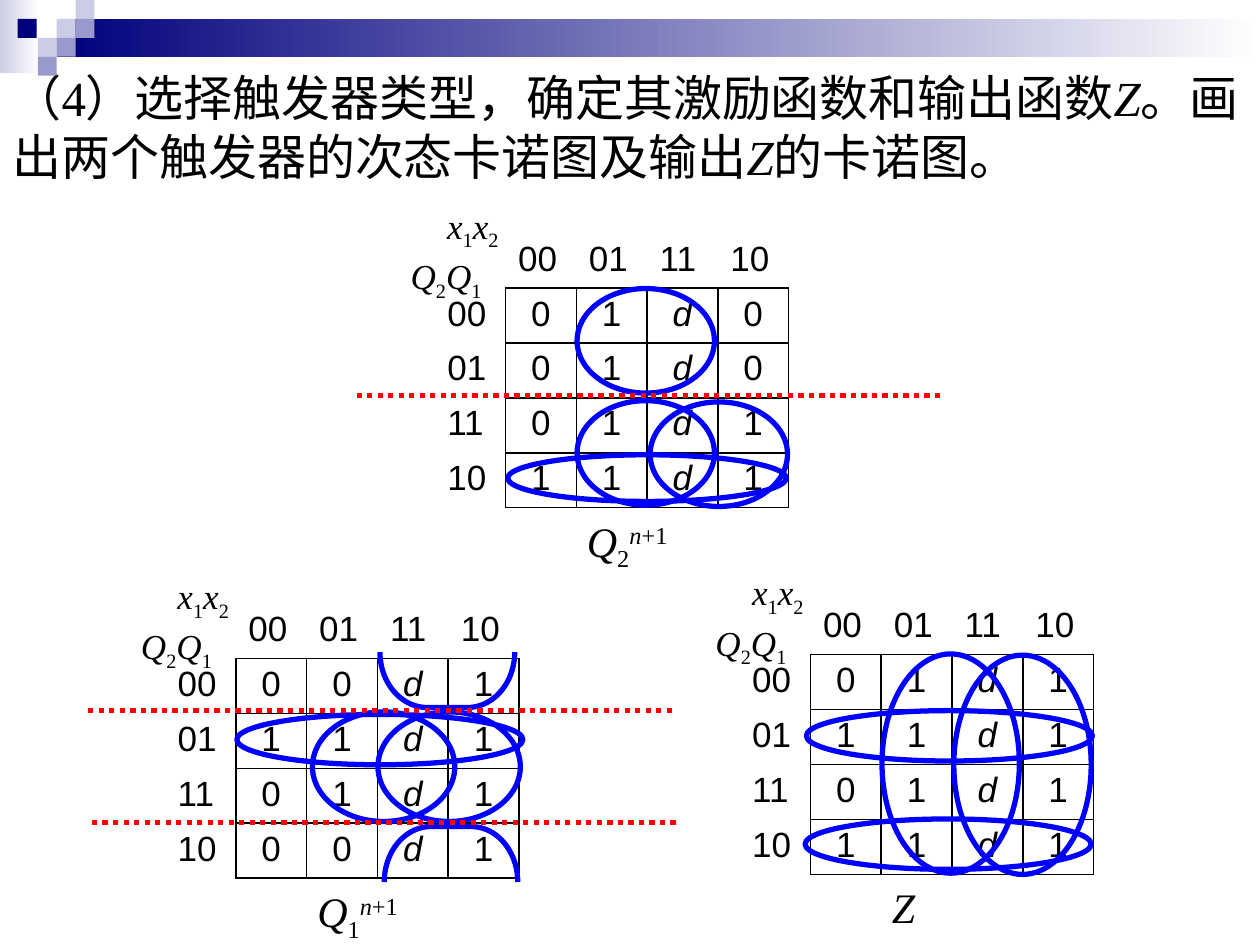
from lxml import etree
from pptx import Presentation
from pptx import util as u
from pptx.dml.color import RGBColor
from pptx.enum import dml, shapes, text
from pptx.oxml import ns

SERIF, SANS = "Times New Roman", "Arial"
BLACK, BLUE, RED = "000000", "0000FF", "FF0000"
NAVY, LILAC, PALE, WHITE = "00007D", "9999CC", "CCCCE6", "FFFFFF"

TITLE = [("（4）选择触发器类型，确定其激励函数和输出函数", ""), ("Z", "i"),
         ("。画出两个触发器的次态卡诺图及输出", ""), ("Z", "i"), ("的卡诺图。", "")]
INPUTS = [("x", "i"), ("1", "sub"), ("x", "i"), ("2", "sub")]
STATES = [("Q", "i"), ("2", "sub"), ("Q", "i"), ("1", "sub")]
CODES = ["00", "01", "11", "10"]

BANDS = [(0, 0, 0.31, 0.58, PALE), (0.45, 0.15, 9.55, 0.3, NAVY)]
SQUARES = [(0.45, 0.15, PALE), (0.6, 0, PALE), (0.6, 0.15, LILAC), (0.3, 0.3, PALE),
           (0.14, 0.15, NAVY), (0.45, 0.3, LILAC), (0.3, 0.45, LILAC)]

MAPS = [
    {"at": (5.87, 4.76), "rows": ["01d1", "11d1", "01d1", "11d1"],
     "name": [("Z", "i")], "name_width": 0.38},
    {"at": (1.31, 4.79), "rows": ["00d1", "11d1", "01d1", "00d1"],
     "name": [("Q", "i"), ("1", "sub"), ("n", "i sup"), ("+1", "sup")], "name_width": 0.9},
    {"at": (3.45, 1.85), "rows": ["01d0", "01d0", "01d1", "11d1"],
     "name": [("Q", "i"), ("2", "sub"), ("n", "i sup"), ("+1", "sup")], "name_width": 0.9},
]
LOOPS = [
    (4.58, 3.18, 1.09, 0.83), (4.58, 2.29, 1.09, 0.83), (5.16, 3.19, 1.09, 0.83),
    (4.03, 3.61, 2.21, 0.37),
    (1.88, 5.67, 2.27, 0.4), (2.48, 5.65, 1.13, 0.87), (3, 5.65, 1.13, 0.87),
    (7, 5.19, 1.09, 1.74), (7.57, 5.2, 1.09, 1.74),
    (6.39, 6.5, 2.27, 0.4), (6.4, 5.64, 2.27, 0.4),
]
OPEN_LOOPS = [(3.33, 4.86, 0.44, 1.07, 90, 0.85), (3.36, 6.25, 0.44, 1.06, 270, 0.84)]
DIVIDERS = [(2.83, 3.14), (0.73, 6.53), (0.7, 5.64)]
DIVIDER_LENGTH = 4.65


def inches(*values):
    return [u.Inches(v) for v in values]


def rgb(color):
    return RGBColor.from_string(color)


def write(p, runs, size, font=SERIF):
    p.font.name, p.font.size = font, u.Pt(size)
    p.font.color.rgb = rgb(BLACK)
    for words, style in runs:
        r = p.add_run()
        r.text = words
        if "i" in style.split():
            r.font.italic = True
        if "su" in style:
            r._r.get_or_add_rPr().set("baseline", "-25000" if "sub" in style else "30000")


def add_label(s, x, y, w, h, runs, size):
    tf = s.shapes.add_textbox(*inches(x, y, w, h)).text_frame
    tf.word_wrap = False
    tf.auto_size = text.MSO_AUTO_SIZE.SHAPE_TO_FIT_TEXT
    write(tf.paragraphs[0], runs, size)


def add_band(s, x, y, w, h, color, fade=False):
    sp = s.shapes.add_shape(shapes.MSO_SHAPE.RECTANGLE, *inches(x, y, w, h))
    sp.shadow.inherit = False
    sp.line.fill.background()
    if fade:
        sp.fill.gradient()
        sp.fill.gradient_angle = 0
        for stop, shade in zip(sp.fill.gradient_stops, (color, WHITE)):
            stop.color.rgb = rgb(shade)
    else:
        sp.fill.solid()
        sp.fill.fore_color.rgb = rgb(color)


def add_loop(s, kind, x, y, w, h):
    sp = s.shapes.add_shape(kind, *inches(x, y, w, h))
    sp.shadow.inherit = False
    sp.fill.background()
    sp.line.color.rgb, sp.line.width = rgb(BLUE), u.Pt(3)
    return sp


def set_borders(cell, edges):
    tc_pr = cell._tc.get_or_add_tcPr()
    for side, drawn in edges.items():
        ln = etree.SubElement(tc_pr, ns.qn(f"a:ln{side}"), w=str(u.Pt(1)))
        if drawn:
            fill = etree.SubElement(ln, ns.qn("a:solidFill"))
            etree.SubElement(fill, ns.qn("a:srgbClr"), val=BLACK)
        else:
            etree.SubElement(ln, ns.qn("a:noFill"))


def add_map(s, at, rows, name, name_width):
    x, y = at
    table = s.shapes.add_table(5, 5, *inches(x, y, 2.81, 2.18)).table
    table.first_row = table.horz_banding = False
    grid = [[""] + CODES] + [[code, *row] for code, row in zip(CODES, rows)]
    for i, values in enumerate(grid):
        for j, value in enumerate(values):
            cell = table.cell(i, j)
            inner = i > 0 and j > 0
            set_borders(cell, {"L": inner, "R": i > 0, "T": inner, "B": j > 0})
            cell.fill.background()
            p = cell.text_frame.paragraphs[0]
            if inner:
                p.alignment = text.PP_ALIGN.CENTER
            if value:
                write(p, [(value, "i" if value == "d" else "")], 20, SANS)
    add_label(s, x, y - 0.28, 0.62, 0.43, INPUTS, 20)
    add_label(s, x - 0.29, y + 0.12, 0.78, 0.43, STATES, 20)
    add_label(s, x + 1.11, y + 2.19, name_width, 0.5, name, 24)


def add_divider(s, x, y):
    line = s.shapes.add_connector(shapes.MSO_CONNECTOR.STRAIGHT,
                                  *inches(x, y, x + DIVIDER_LENGTH, y))
    line.line.color.rgb, line.line.width = rgb(RED), u.Pt(3)
    line.line.dash_style = dml.MSO_LINE.ROUND_DOT
    etree.SubElement(line._element.spPr, ns.qn("a:effectLst"))


def add_title(s):
    title = s.shapes.title
    title.left, title.top, title.width, title.height = inches(0, 0.49, 10, 1.03)
    tf = title.text_frame
    tf.word_wrap = True
    tf.auto_size = text.MSO_AUTO_SIZE.NONE
    tf.vertical_anchor = text.MSO_ANCHOR.MIDDLE
    tf.paragraphs[0].alignment = text.PP_ALIGN.LEFT
    write(tf.paragraphs[0], TITLE, 28)


def main():
    """Build the slide of three Karnaugh maps with their groupings."""
    prs = Presentation()
    prs.slide_width, prs.slide_height = inches(10, 7.5)
    s = prs.slides.add_slide(prs.slide_layouts[5])
    for band in BANDS:
        add_band(s, *band, fade=True)
    for x, y, color in SQUARES:
        add_band(s, x, y, 0.15, 0.15, color)
    add_title(s)
    for kmap in MAPS:
        add_map(s, **kmap)
    for loop in LOOPS:
        add_loop(s, shapes.MSO_SHAPE.OVAL, *loop)
    for *frame, angle, bend in OPEN_LOOPS:
        sp = add_loop(s, shapes.MSO_SHAPE.RIGHT_BRACKET, *frame)
        sp.rotation, sp.adjustments[0] = angle, bend
    for divider in DIVIDERS:
        add_divider(s, *divider)
    prs.save("out.pptx")


if __name__ == "__main__":
    main()
